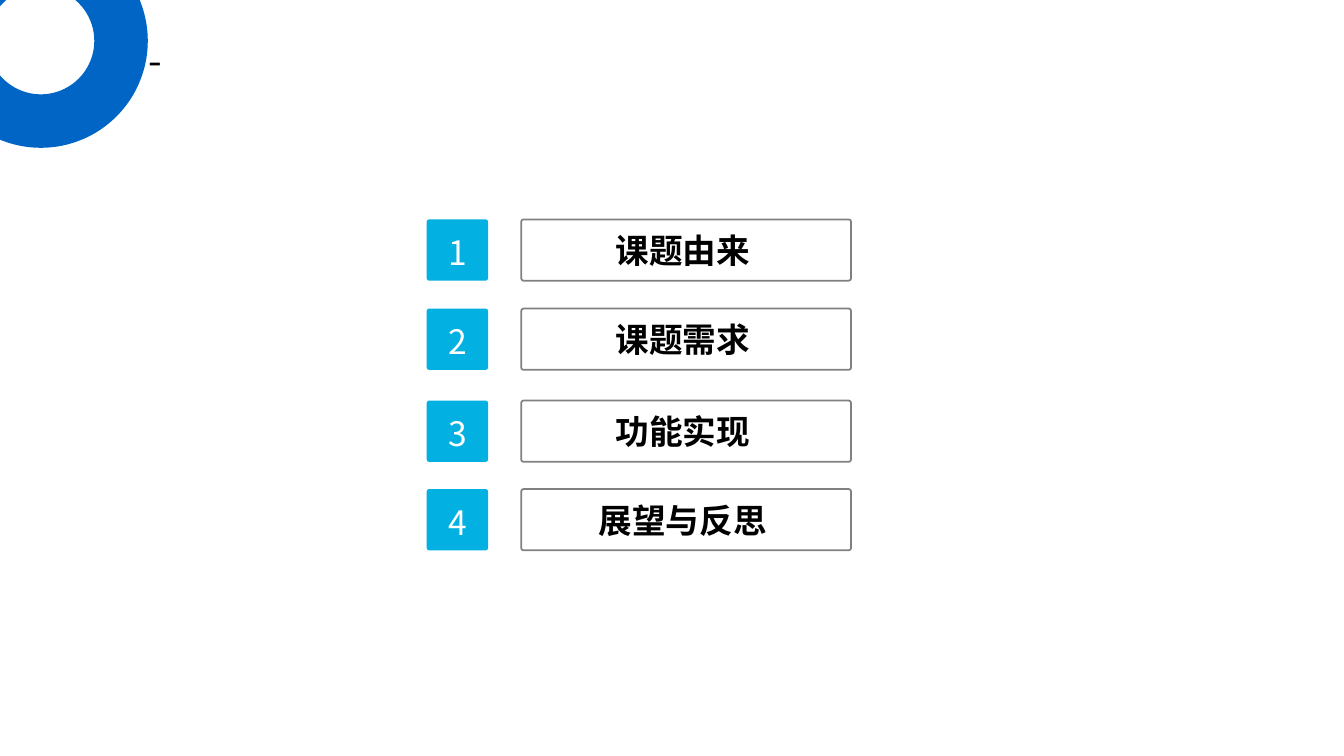
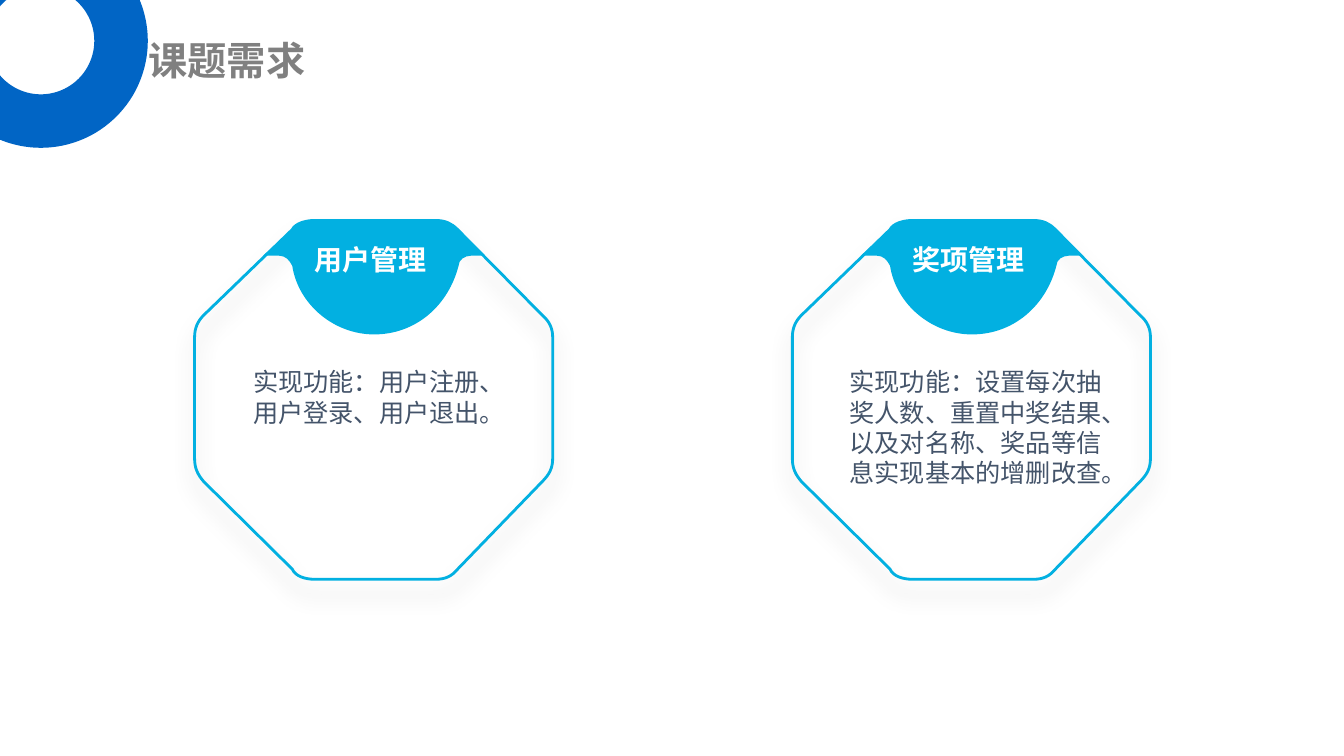
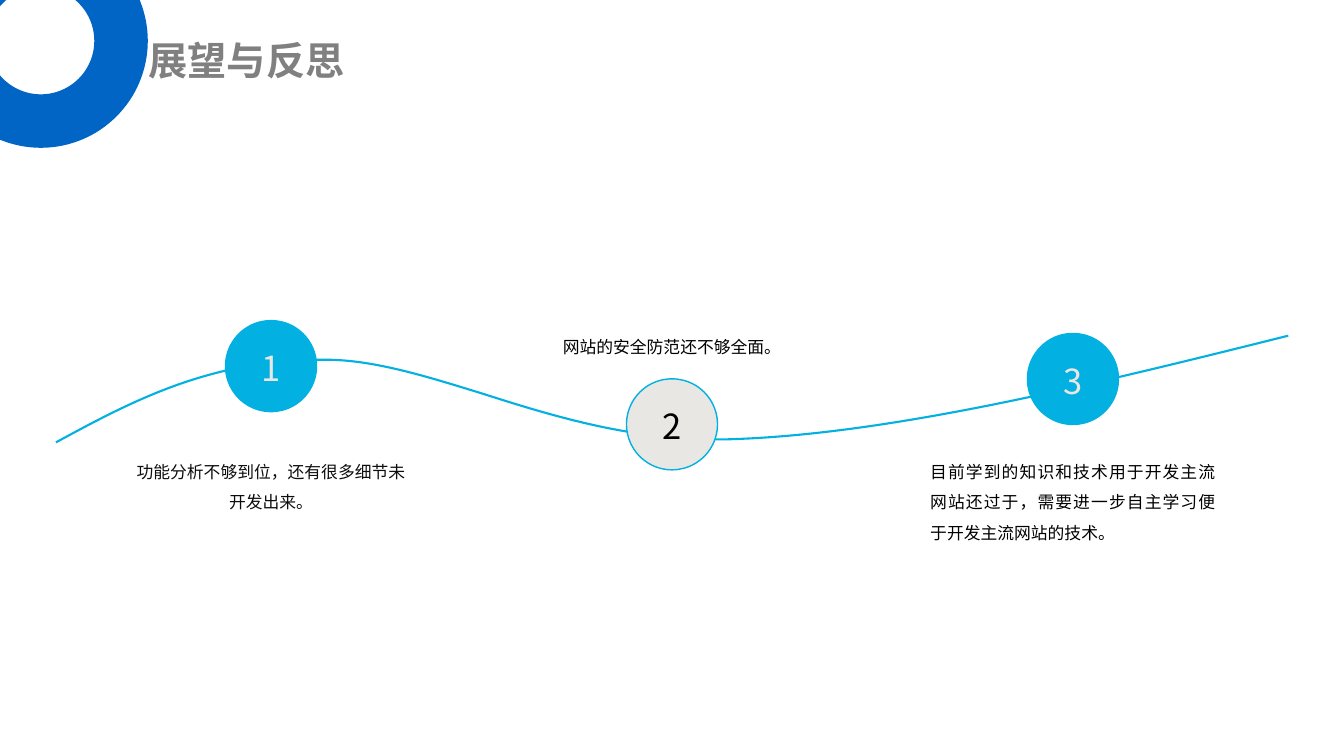
from dataclasses import dataclass

from lxml import etree
from pptx import Presentation
from pptx.dml.color import RGBColor
from pptx.enum.shapes import MSO_SHAPE
from pptx.enum.text import MSO_ANCHOR, MSO_AUTO_SIZE, PP_ALIGN
from pptx.oxml.ns import qn
from pptx.util import Pt

LEFT, CENTER, JUSTIFY = PP_ALIGN.LEFT, PP_ALIGN.CENTER, PP_ALIGN.JUSTIFY
TOP, MIDDLE, BOTTOM = MSO_ANCHOR.TOP, MSO_ANCHOR.MIDDLE, MSO_ANCHOR.BOTTOM
DONUT, OVAL, ROUNDED = MSO_SHAPE.DONUT, MSO_SHAPE.OVAL, MSO_SHAPE.ROUNDED_RECTANGLE
TITLE_ONLY = 5


@dataclass(frozen=True)
class Theme:
    blue: str = "0165C5"
    cyan: str = "02B0E1"
    gray: str = "808080"
    pale: str = "E8E7E3"
    slate: str = "44546A"
    ink: str = "0D0D0D"
    black: str = "000000"
    white: str = "FFFFFF"
    cjk_font: str = "Noto Sans CJK SC"
    body_font: str = "Open Sans"
    title_size: float = 28
    agenda_size: float = 24
    number_size: float = 24.7
    label_size: float = 20
    body_size: float = 18
    caption_size: float = 12


THEME = Theme()

# Row top and topic
AGENDA = [(156.7, "课题由来"), (220.4, "课题需求"), (286.1, "功能实现"), (349.3, "展望与反思")]
NEEDS = [
    ("用户管理", "实现功能：用户注册、用户登录、用户退出。"),
    ("奖项管理", "实现功能：设置每次抽奖人数、重置中奖结果、以及对名称、奖品等信息实现基本的增删改查。"),
]
# Circle centre height, fill, number colour, caption and its format
REFLECTIONS = [
    (261.5, THEME.cyan, THEME.pale, "功能分析不够到位，还有很多细节未开发出来。",
     {"top": 322.3, "height": 88, "color": THEME.ink, "spacing": Pt(21.8)}),
    (303.1, THEME.pale, THEME.black, "网站的安全防范还不够全面。",
     {"top": 223, "height": 32, "anchor": BOTTOM, "spacing": Pt(18)}),
    (270.7, THEME.cyan, THEME.pale,
     "目前学到的知识和技术用于开发主流网站还过于，需要进一步自主学习便于开发主流网站的技术。",
     {"top": 322.3, "height": 104, "align": JUSTIFY, "spacing": Pt(21.8)}),
]

# Outlines: Bezier curves or single points, joined by straight lines
OCTAGON = [
    [(6.5, 186.5), (2.2, 181.4), (0, 177.1), (0, 169.9)],
    [(0, 83.5), (0, 77), (2.2, 72), (6.5, 67.7)],
    [(69.8, 6.5), (72, 2.2), (79.2, 0), (85.7, 0)],
    [(172.1, 0), (179.3, 0), (183.6, 2.2), (187.9, 6.5)],
    [(248.4, 67.7), (253.4, 72), (255.8, 77), (255.8, 83.5)],
    [(255.8, 169.9), (255.8, 177.1), (253.4, 181.4), (248.4, 186.5)],
    [(187.9, 249.1), (183.6, 254.2), (179.3, 256.3), (172.1, 256.3)],
    [(85.7, 256.3), (79.2, 256.3), (72, 254.2), (69.8, 249.1)],
]
TAB = [
    [(188.6, 6.5), (183.6, 2.2), (179.3, 0), (172.1, 0)],
    [(85.7, 0), (79.2, 0), (72, 2.2), (69.8, 6.5)],
    [(49, 25.2)],
    [(60.5, 25.2), (64.8, 25.2), (67.7, 28.1), (69.8, 32.4)],
    [(69.8, 32.4), (74.2, 60.5), (100.1, 81.4), (128.2, 81.4)],
    [(128.2, 81.4), (158.4, 81.4), (181.4, 60.5), (188.6, 32.4)],
    [(188.6, 32.4), (188.6, 28.1), (193, 25.2), (197.3, 25.2)],
    [(206.6, 25.2)],
]
WAVE = [
    [(40, 316), (94.3, 286.5), (149.8, 257), (229.7, 257)],
    [(229.7, 257), (265, 256.3), (303.8, 268.6), (345.6, 281.5)],
    [(345.6, 281.5), (395.3, 297.4), (450, 313.9), (511.2, 313.9)],
    [(517.7, 313.9), (632.9, 311), (776.2, 275.8), (920.2, 239.8)],
]


def rgb(color):
    return RGBColor.from_string(color)


def write_text(shape, text, size, color=THEME.black, bold=False, font=THEME.cjk_font,
               align=CENTER, anchor=MIDDLE, spacing=1.0, insets=(0, 0, 0, 0), tracking=None):
    """Write one paragraph; insets are left, top, right, bottom."""
    frame = shape.text_frame
    frame.text = text
    left, top, right, bottom = map(Pt, insets)
    frame_format = {
        "auto_size": MSO_AUTO_SIZE.NONE, "word_wrap": True, "vertical_anchor": anchor,
        "margin_left": left, "margin_top": top, "margin_right": right, "margin_bottom": bottom,
    }
    paragraph = frame.paragraphs[0]
    run = paragraph.runs[0]
    for target, values in (
        (frame, frame_format),
        (paragraph, {"alignment": align, "line_spacing": spacing}),
        (run.font, {"name": font, "size": Pt(size), "bold": bold}),
    ):
        for name, value in values.items():
            setattr(target, name, value)
    run.font.color.rgb = rgb(color)
    for properties in shape.element.iter(qn("a:rPr")):
        etree.SubElement(properties, qn("a:ea"), typeface=THEME.cjk_font)
        if tracking:
            properties.set("spc", str(round(tracking * 100)))


def add_text(slide, box, text, size, **text_format):
    write_text(slide.shapes.add_textbox(*map(Pt, box)), text, size, **text_format)


def paint(shape, fill=None, line=None, width=1.0):
    shape.shadow.inherit = False
    if fill:
        shape.fill.solid()
        shape.fill.fore_color.rgb = rgb(fill)
    else:
        shape.fill.background()
    if line:
        shape.line.color.rgb = rgb(line)
        shape.line.width = Pt(width)
    else:
        shape.line.fill.background()


def add_shape(slide, kind, box, **paint_format):
    shape = slide.shapes.add_shape(kind, *map(Pt, box))
    paint(shape, **paint_format)
    return shape


def add_outline(slide, curves, left=0, top=0, close=True, **paint_format):
    """Draw a freeform through all control points, then turn triples into Bezier curves."""
    points, curve_starts = [], []
    for start, *controls in curves:
        if not points or points[-1] != start:
            points.append(start)
        if controls:
            curve_starts.append(len(points) - 1)
            points += controls
    corners = [(Pt(left + x), Pt(top + y)) for x, y in points]
    builder = slide.shapes.build_freeform(*corners[0])
    builder.add_line_segments(corners[1:], close=close)
    shape = builder.convert_to_shape()
    segments = list(shape.element.iter(qn("a:lnTo")))
    for start in curve_starts:
        first, *others = segments[start:start + 3]
        first.tag = qn("a:cubicBezTo")
        for segment in others:
            first.append(segment[0])
            segment.getparent().remove(segment)
    paint(shape, **paint_format)
    return shape


def add_soft_shadow(shape, opacity=20, blur=15, distance=10):
    effects = shape.element.spPr.find(qn("a:effectLst"))
    shadow = etree.SubElement(effects, qn("a:outerShdw"), blurRad=str(Pt(blur)),
                              dist=str(Pt(distance)), dir="5400000", rotWithShape="0")
    color = etree.SubElement(shadow, qn("a:srgbClr"), val=THEME.black)
    etree.SubElement(color, qn("a:alpha"), val=str(opacity * 1000))


def add_titled_slide(presentation, text, color=THEME.gray, bold=True):
    slide = presentation.slides.add_slide(presentation.slide_layouts[TITLE_ONLY])
    add_shape(slide, DONUT, (-47.2, -47.2, 152.8, 152.8), fill=THEME.blue)
    title = slide.shapes.title
    for name, value in {"left": 99, "top": 22.3, "width": 828, "height": 60.5}.items():
        setattr(title, name, Pt(value))
    write_text(title, text, THEME.title_size, color=color, bold=bold, align=LEFT,
               anchor=TOP, insets=(7.2, 3.6, 7.2, 3.6))
    return slide


def build_agenda(presentation):
    slide = add_titled_slide(presentation, "-", color=THEME.black, bold=False)
    side, radius = 43.8, 1.8
    for number, (top, topic) in enumerate(AGENDA, start=1):
        number_box = add_shape(slide, ROUNDED, (304.8, top, side, side), fill=THEME.cyan)
        topic_box = add_shape(slide, ROUNDED, (372.3, top, 235.6, side),
                              fill=THEME.white, line=THEME.gray, width=1.25)
        for shape in (number_box, topic_box):
            shape.adjustments[0] = radius / side
        write_text(number_box, str(number), THEME.agenda_size, color=THEME.white,
                   insets=(1, 3, 0, 0))
        write_text(topic_box, topic, THEME.agenda_size, bold=True, insets=(0, 0, 5, 0))


def build_needs(presentation):
    slide = add_titled_slide(presentation, "课题需求")
    top, first_left, pitch = 157.5, 139, 427
    first_detail_left, detail_pitch = 173.7, 426
    for index, (label, detail) in enumerate(NEEDS):
        left = first_left + index * pitch
        card = add_outline(slide, OCTAGON, left, top, line=THEME.cyan, width=2)
        add_soft_shadow(card)
        add_outline(slide, TAB, left, top, fill=THEME.cyan)
        add_text(slide, (left + 70.5, 154, 111, 50), label, THEME.label_size,
                 color=THEME.white, bold=True, spacing=1.5)
        detail_left = first_detail_left + index * detail_pitch
        add_text(slide, (detail_left, 258.4, 198.7, 94), detail, THEME.body_size,
                 color=THEME.slate, font=THEME.body_font, align=LEFT, anchor=TOP,
                 spacing=Pt(21.6), insets=(7.2, 3.6, 7.2, 3.6))


def build_reflections(presentation):
    slide = add_titled_slide(presentation, "展望与反思")
    diameter, caption_width, first_center, pitch = 65, 203.8, 193.6, 286.4
    add_outline(slide, WAVE, close=False, line=THEME.cyan, width=1.5)
    for index, (middle, fill, color, caption, placing) in enumerate(REFLECTIONS):
        center = first_center + index * pitch
        circle = add_shape(slide, OVAL,
                           (center - diameter / 2, middle - diameter / 2, diameter, diameter),
                           fill=fill, line=THEME.cyan)
        write_text(circle, str(index + 1), THEME.number_size, color=color,
                   spacing=Pt(32), tracking=0.7)
        text_format = {"anchor": TOP, **placing}
        box = (center - caption_width / 2, text_format.pop("top"),
               caption_width, text_format.pop("height"))
        add_text(slide, box, caption, THEME.caption_size, **text_format)


def main():
    presentation = Presentation()
    presentation.slide_width, presentation.slide_height = Pt(960), Pt(540)
    for build in (build_agenda, build_needs, build_reflections):
        build(presentation)
    presentation.save("out.pptx")


if __name__ == "__main__":
    main()
